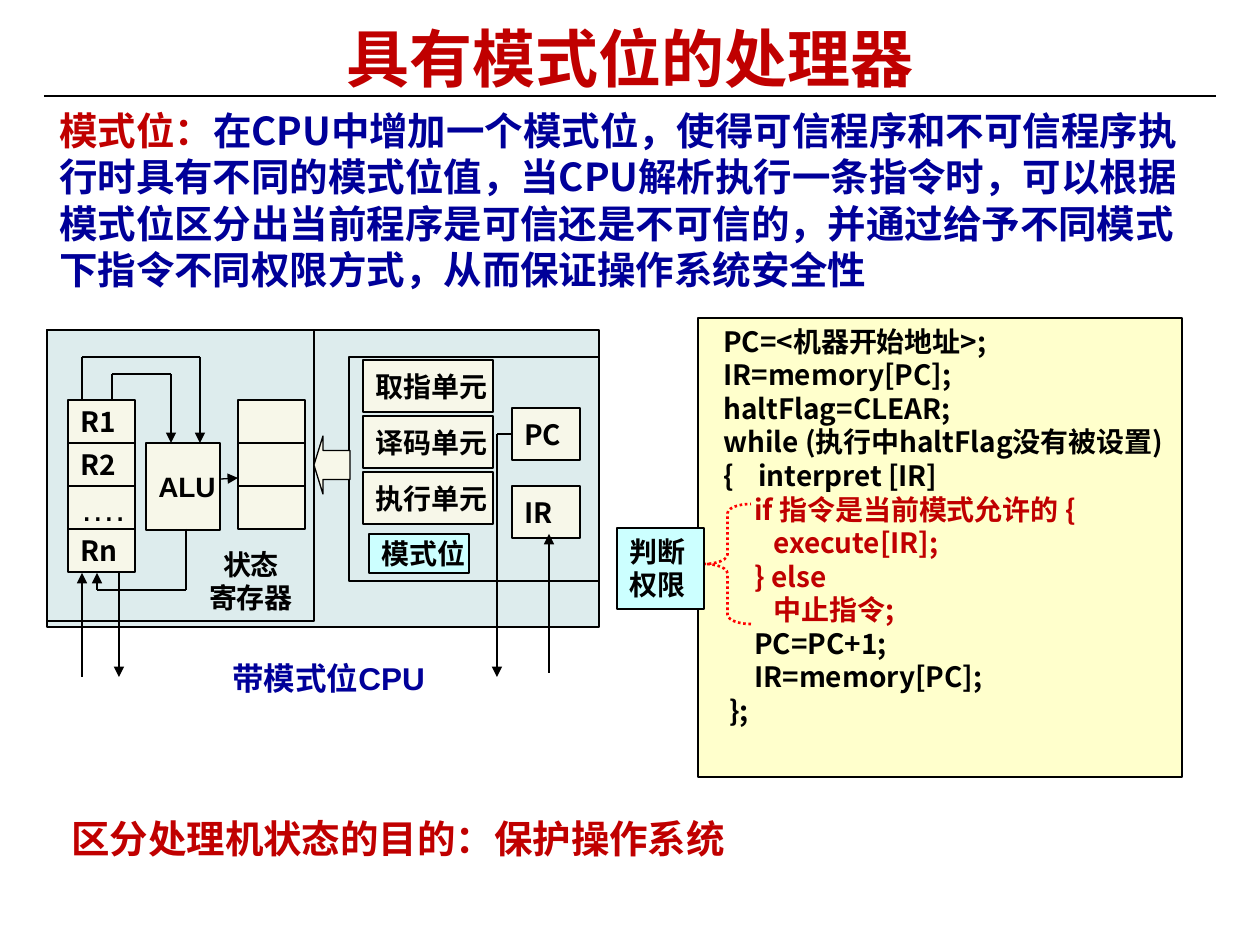
import itertools

import lxml.etree
import pptx
import pptx.dml.color
import pptx.enum.dml
import pptx.enum.shapes
import pptx.enum.text
import pptx.oxml
import pptx.oxml.ns
import pptx.util

SCALE = 914400 / 126
HUES = {"ink": "000000", "red": "C00000", "blue": "000099", "dots": "FF0000",
        "chip": "DDECED", "cell": "F7F7E9", "mode": "CCFFFF", "code": "FFFFCC"}
SANS, ARIAL = "Noto Sans CJK SC", "Arial"
KIND = pptx.enum.shapes.MSO_SHAPE
ALIGN = pptx.enum.text.PP_ALIGN
ANCHOR = pptx.enum.text.MSO_ANCHOR
qn = pptx.oxml.ns.qn


def px(size):
    return pptx.util.Emu(round(size * SCALE))


def hue(name):
    return pptx.dml.color.RGBColor.from_string(HUES[name])


def apply(item, form):
    for name, value in form.items():
        setattr(item, name, value)


def ink(line, color="ink", width=0.75):
    line.color.rgb = hue(color)
    line.width = pptx.util.Pt(width)


def add_run(para, text, size=16, color="ink", font=SANS, bold=True):
    run = para.add_run()
    run.text = text
    apply(run.font, {"size": pptx.util.Pt(size), "name": font, "bold": bold})
    run.font.color.rgb = hue(color)
    east = lxml.etree.SubElement(run.font._element, qn("a:ea"))
    east.set("typeface", font)


def write(shape, paras, wrap=False, anchor=ANCHOR.TOP, **form):
    """Fill a shape with paragraphs, each a list of (text, run format)."""
    frame = shape.text_frame
    apply(frame, {"word_wrap": wrap, "vertical_anchor": anchor})
    for i, runs in enumerate(paras):
        para = frame.add_paragraph() if i else frame.paragraphs[0]
        apply(para, {"alignment": ALIGN.LEFT, **form})
        for text, style in runs:
            add_run(para, text, **style)


def add_note(slide, spot, paras, **form):
    box = slide.shapes.add_textbox(*map(px, spot))
    write(box, paras, wrap=True, **form)


def add_box(slide, spot, fill, text=None, kind=KIND.RECTANGLE, wrap=False,
            anchor=ANCHOR.MIDDLE, **style):
    box = slide.shapes.add_shape(kind, *map(px, spot))
    box.shadow.inherit = False
    box.fill.solid()
    box.fill.fore_color.rgb = hue(fill)
    ink(box.line)
    if text:
        write(box, [[(text, style)]], wrap, anchor)
    return box


def add_wire(slide, points, arrow=True, start=None):
    """Chain straight lines; start is a (shape, side) pair to join."""
    for i, (one, two) in enumerate(itertools.pairwise(points)):
        line = slide.shapes.add_connector(
            pptx.enum.shapes.MSO_CONNECTOR.STRAIGHT, *map(px, one + two))
        ink(line.line)
        lxml.etree.SubElement(line._element.spPr, qn("a:effectLst"))
        if start and i == 0:
            line.begin_connect(*start)
    if arrow:
        tail = lxml.etree.SubElement(line.line._get_or_add_ln(), qn("a:tailEnd"))
        tail.set("type", "triangle")


def add_code(slide):
    """Rows are (indent, hanging indent, colour, text)."""
    rows = [
        (13, 0, "ink", "PC=<机器开始地址>;"),
        (13, 0, "ink", "IR=memory[PC];"),
        (13, 0, "ink", "haltFlag=CLEAR;"),
        (13, 0, "ink", "while (执行中haltFlag没有被设置)"),
        (48, -35, "ink", "{\tinterpret [IR]"),
        (44, 0, "red", "if 指令是当前模式允许的 {"),
        (63, 0, "red", "execute[IR];"),
        (44, 0, "red", "} else"),
        (63, 0, "red", "中止指令;"),
        (44, 0, "ink", "PC=PC+1;"),
        (44, 0, "ink", "IR=memory[PC];"),
        (19, 0, "ink", "};"),
    ]
    box = add_box(slide, (698, 318, 484, 459), "code")
    write(box, [[(text, {"color": color})] for _, _, color, text in rows])
    for para, (left, hang, _, _) in zip(box.text_frame.paragraphs, rows):
        props = para._p.get_or_add_pPr()
        props.set("marL", str(px(left)))
        props.set("indent", str(px(hang)))


def add_brace(slide):
    brace = slide.shapes.add_shape(KIND.LEFT_BRACE, *map(px, (704, 504, 47, 120)))
    brace.shadow.inherit = False
    brace.fill.background()
    brace.adjustments[0] = 0.2
    ink(brace.line, "dots", 1.5)
    brace.line.dash_style = pptx.enum.dml.MSO_LINE.ROUND_DOT


def add_chip(slide):
    add_box(slide, (47, 330, 552, 297), "chip")
    add_box(slide, (47, 330, 267, 291), "chip")
    for i, name in enumerate(["R1", "R2", "….", "Rn"]):
        style = {"size": 20, "font": ARIAL, "bold": False} if name == "…." else {}
        add_box(slide, (68, 400 + 43 * i, 67, 43), "cell", name, **style)
    add_box(slide, (146, 443, 74, 87), "cell", "ALU", font=ARIAL)
    for i in range(3):
        add_box(slide, (238, 400 + 43 * i, 67, 43), "cell")
    add_note(slide, (195, 541, 112, 81), [[("状态", {})], [("寄存器", {})]],
             alignment=ALIGN.CENTER)

    add_box(slide, (349, 357, 250, 224), "chip")
    for i, name in enumerate(["取指单元", "译码单元", "执行单元"]):
        add_box(slide, (363, 360 + 56 * i, 130, 52), "cell", name)
    count = add_box(slide, (512, 408, 68, 52), "cell", "PC")
    add_box(slide, (512, 486, 68, 52), "cell", "IR")
    arrow = add_box(slide, (314, 436, 36, 58), "cell", kind=KIND.LEFT_ARROW)
    arrow.adjustments[1] = 0.25
    add_box(slide, (369, 534, 100, 39), "mode", "模式位")

    for points in [
        [(82, 399), (82, 357), (200, 357), (200, 443)],
        [(112, 399), (112, 374), (171, 374), (171, 443)],
        [(186, 529), (186, 590), (97, 590), (97, 573)],
        [(221, 479), (238, 478)],
        [(82, 677), (82, 573)],
        [(119, 573), (119, 677)],
        [(549, 673), (549, 534)],
    ]:
        add_wire(slide, points)
    add_wire(slide, [(512, 434), (497, 434), (497, 677)], start=(count, 1))
    label = {"size": 18, "color": "blue"}
    add_note(slide, (220, 653, 265, 50),
             [[("带模式位", label), ("CPU", {**label, "font": ARIAL})]])


def main():
    deck = pptx.Presentation()
    apply(deck, {"slide_width": px(1260), "slide_height": px(945)})
    slide = deck.slides.add_slide(deck.slide_layouts[6])
    red = {"size": 22, "color": "red"}
    gap = pptx.util.Pt(5.5)

    add_wire(slide, [(44, 96), (1216, 96)], arrow=False)
    add_note(slide, (47, 20, 1166, 74),
             [[("具有模式位的处理器", {**red, "size": 36})]],
             anchor=ANCHOR.MIDDLE, alignment=ALIGN.CENTER)
    add_note(slide, (59, 795, 751, 73),
             [[("区分处理机状态的目的：保护操作系统", red)]],
             line_spacing=1.3, space_before=gap)
    body = ("在CPU中增加一个模式位，使得可信程序和不可信程序执行时具有不同的模式位值，"
            "当CPU解析执行一条指令时，可以根据模式位区分出当前程序是可信还是不可信的，"
            "并通过给予不同模式下指令不同权限方式，从而保证操作系统安全性")
    add_note(slide, (47, 101, 1159, 198),
             [[("模式位：", red), (body, {**red, "color": "blue"})]],
             space_before=gap)
    add_chip(slide)
    add_code(slide)
    add_brace(slide)
    add_box(slide, (617, 528, 87, 81), "mode", "判断权限",
            wrap=True, anchor=ANCHOR.TOP)
    deck.save("out.pptx")


if __name__ == "__main__":
    main()
